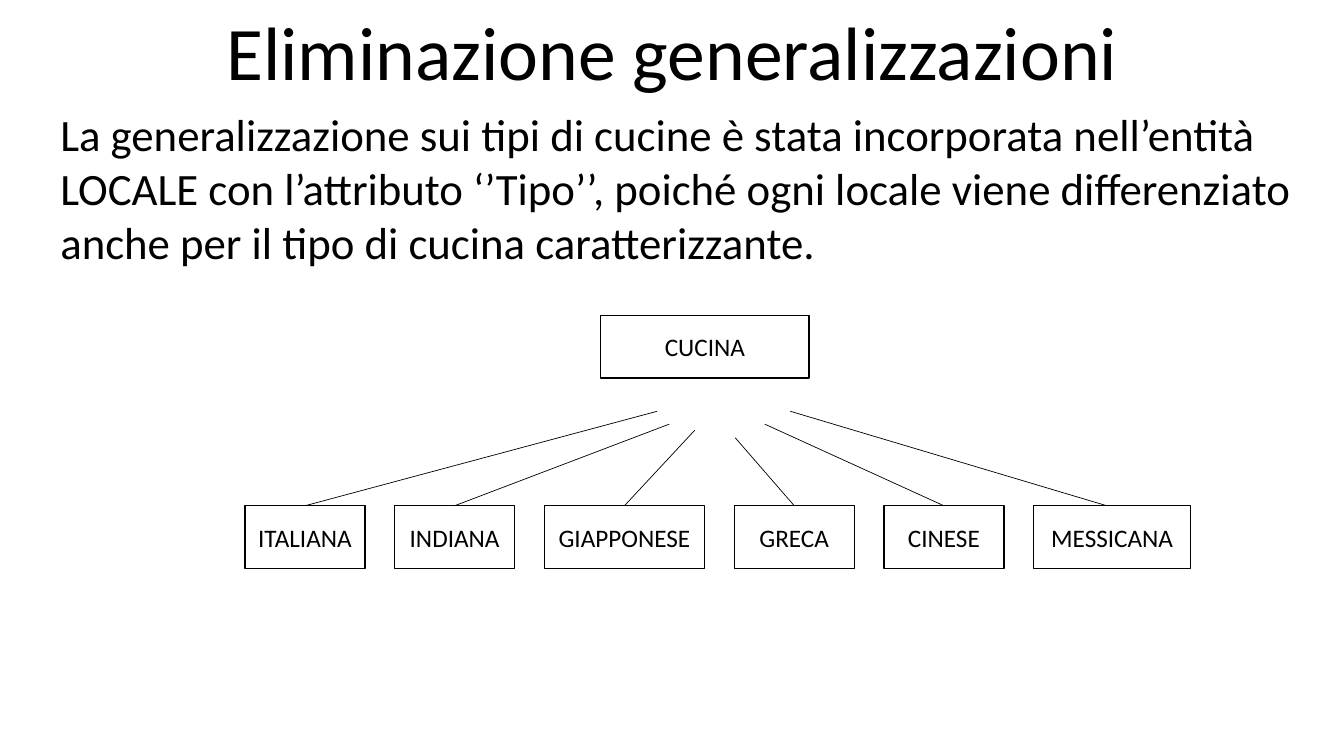
from dataclasses import dataclass

from lxml import etree
from pptx import Presentation
from pptx.dml.color import RGBColor
from pptx.enum.shapes import MSO_CONNECTOR, MSO_SHAPE
from pptx.enum.text import MSO_ANCHOR, PP_ALIGN
from pptx.oxml.ns import qn
from pptx.util import Inches, Pt

RECTANGLE = MSO_SHAPE.RECTANGLE
STRAIGHT = MSO_CONNECTOR.STRAIGHT
LEFT, CENTER = PP_ALIGN.LEFT, PP_ALIGN.CENTER
TOP, MIDDLE = MSO_ANCHOR.TOP, MSO_ANCHOR.MIDDLE
FONT = "Calibri"
BLACK, WHITE = "000000", "FFFFFF"

deck = Presentation()
deck.slide_width, deck.slide_height = Inches(13.33), Inches(7.5)
page = deck.slides.add_slide(deck.slide_layouts[6])


@dataclass
class Area:
    """A rectangle in percent of the slide's width and height."""
    left: float
    top: float
    width: float
    height: float


@dataclass
class Cuisine:
    """A child entity and the upper end of its line, in percent."""
    name: str
    width: float
    tip_x: float
    tip_y: float
    foot_shift: float = 0


def color(value: str) -> RGBColor:
    """Turn a hex string into a colour."""
    return RGBColor.from_string(value)


def across(percent: float) -> int:
    """Convert a share of the slide's width to a length."""
    return round(deck.slide_width * percent / 100)


def down(percent: float) -> int:
    """Convert a share of the slide's height to a length."""
    return round(deck.slide_height * percent / 100)


def place(area: Area) -> tuple[int, int, int, int]:
    """Give an area as left, top, width and height."""
    return across(area.left), down(area.top), across(area.width), down(area.height)


def write(box, text: str, size: int, align=CENTER, anchor=TOP, wrap: bool = True) -> None:
    """Put one paragraph of black text into a box."""
    frame = box.text_frame
    frame.word_wrap = wrap
    frame.vertical_anchor = anchor
    paragraph = frame.paragraphs[0]
    paragraph.text = text
    paragraph.alignment = align
    paragraph.font.name = FONT
    paragraph.font.size = Pt(size)
    paragraph.font.color.rgb = color(BLACK)


def add_entity(name: str, area: Area) -> None:
    """Draw an outlined entity box with its name."""
    box = page.shapes.add_shape(RECTANGLE, *place(area))
    box.shadow.inherit = False
    box.fill.solid()
    box.fill.fore_color.rgb = color(WHITE)
    box.line.color.rgb = color(BLACK)
    box.line.width = Pt(1)
    write(box, name, 18, anchor=MIDDLE)


def add_branch(foot_x: float, foot_y: float, tip_x: float, tip_y: float) -> None:
    """Draw a thin line from a child entity towards its parent."""
    line = page.shapes.add_connector(
        STRAIGHT, across(foot_x), down(foot_y), across(tip_x), down(tip_y))
    line.line.color.rgb = color(BLACK)
    line.line.width = Pt(0.5)
    etree.SubElement(line._element.spPr, qn("a:effectLst"))


def add_cuisines(cuisines: list[Cuisine], row: Area) -> None:
    """Spread the child entities over a row with equal gaps."""
    used = sum(cuisine.width for cuisine in cuisines)
    gap = (row.width - used) / (len(cuisines) - 1)
    left = row.left
    for cuisine in cuisines:
        add_entity(cuisine.name, Area(left, row.top, cuisine.width, row.height))
        foot_x = left + cuisine.width / 2 + cuisine.foot_shift
        add_branch(foot_x, row.top, cuisine.tip_x, cuisine.tip_y)
        left += cuisine.width + gap


ENTITY_HEIGHT = 8.3
CUISINES = [
    Cuisine("ITALIANA", 8.93, 48.9, 54.4),
    Cuisine("INDIANA", 8.93, 49.8, 56.1),
    Cuisine("GIAPPONESE", 11.93, 51.7, 56.9),
    Cuisine("GRECA", 8.93, 54.7, 57.9),
    Cuisine("CINESE", 8.93, 56.9, 56.1),
    Cuisine("MESSICANA", 11.7, 58.8, 54.4, foot_shift=-0.4),
]

title = page.shapes.add_textbox(*place(Area(15.75, 0, 68.5, 13.5)))
write(title, "Eliminazione generalizzazioni", 54, wrap=False)

body = page.shapes.add_textbox(*place(Area(3.75, 13.5, 95.05, 22.9)))
write(body, "La generalizzazione sui tipi di cucine è stata incorporata nell’entità "
            "LOCALE con l’attributo ‘’Tipo’’, poiché ogni locale viene differenziato "
            "anche per il tipo di cucina caratterizzante.", 32, align=LEFT)

add_entity("CUCINA", Area(44.7, 41.7, 15.5, ENTITY_HEIGHT))
add_cuisines(CUISINES, Area(18.23, 66.9, 70.37, ENTITY_HEIGHT))

deck.save("out.pptx")
